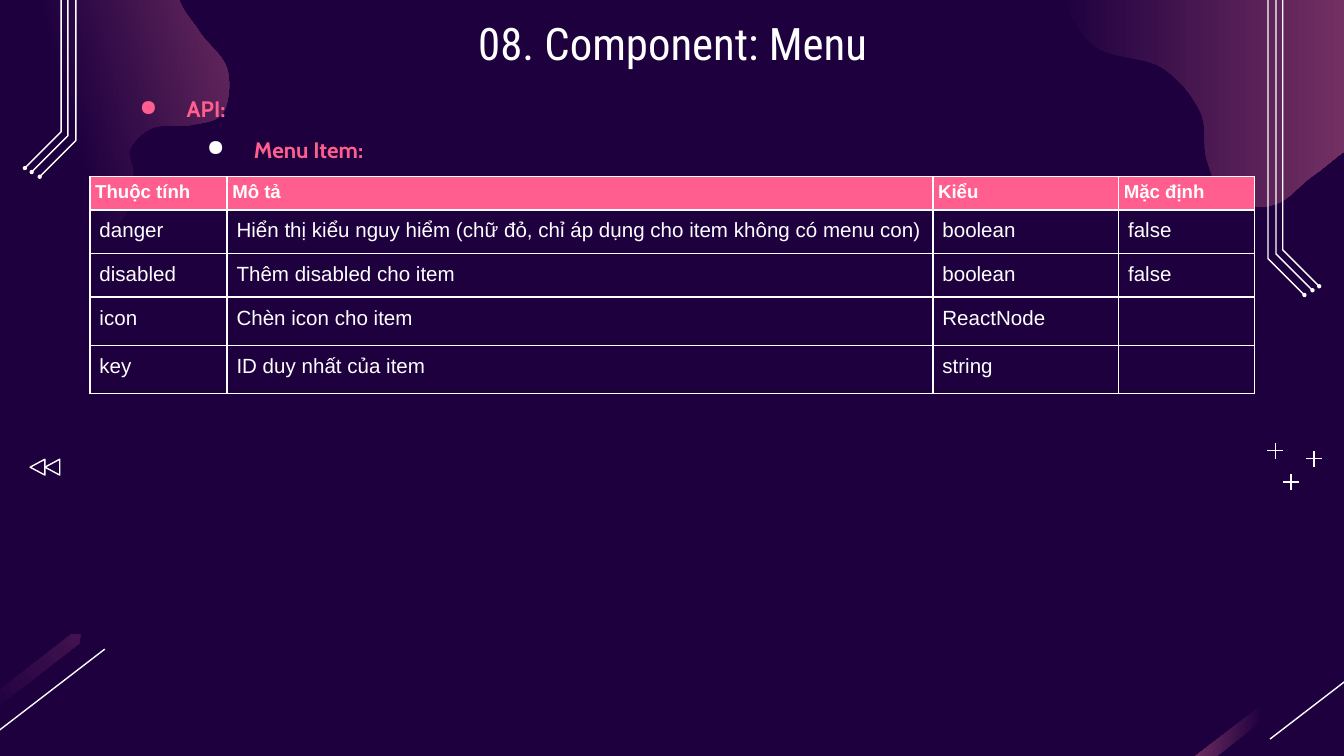
from dataclasses import dataclass

from lxml.etree import SubElement
from pptx import Presentation
from pptx.dml.color import RGBColor
from pptx.enum.shapes import MSO_CONNECTOR as Connector, MSO_SHAPE as Shape
from pptx.enum.text import MSO_ANCHOR as Anchor, PP_ALIGN as Align
from pptx.oxml.ns import qn
from pptx.util import Cm, Pt

COLORS = {"night": "1E003F", "plum": "A64D79", "glow": "41124F",
          "pink": "FF5E8E", "white": "FFFFFF"}
GRID = Cm(0.0254)  # drawing unit of the outlines
HAIRLINE = Pt(0.75)

Point = tuple[float, float]


@dataclass(frozen=True)
class Blob:
    """A smooth closed outline through a few anchors."""
    anchors: list[Point]
    angle: float
    dark_until: float


@dataclass(frozen=True)
class Bullet:
    text: str
    level: int
    marker: str


BLOBS = [
    Blob([(133, -7), (148, 23), (169, 51), (166, 84), (142, 93), (114, 95),
          (97, 111), (99, 131), (90, 165), (48, 190), (-13, 133), (-194, 22),
          (-91, -74), (54, -90), (167, -151), (258, -87), (159, -39)], 15, 0.5),
    Blob([(789, -38), (809, 30), (864, 50), (893, 83), (898, 119), (914, 150),
          (949, 152), (978, 130), (1018, 106), (1052, 138), (1117, 88),
          (1125, 38), (1105, -35), (1058, -77), (929, -113), (852, -143)], 0, 0),
]
STREAK = [(53, 472), (60, 472), (59, 479), (-81, 588), (-88, 587), (-87, 580)]
TRACK_BENDS = [(954.5, 186), (949.5, 189), (943.5, 192.5)]
TRACK_RUN = 27
PLUSES = [(24.4, 9.11), (24.83, 8.67), (24.1, 8.52)]
BULLETS = [Bullet("API:", 0, "pink"), Bullet("Menu Item:", 1, "white")]
COLUMNS = [2.59, 13.34, 3.51, 2.57]
ROWS = [0.6, 0.79, 0.79, 0.91, 0.91]
PROPERTIES = [
    ("Thuộc tính", "Mô tả", "Kiểu", "Mặc định"),
    ("danger", "Hiển thị kiểu nguy hiểm (chữ đỏ, chỉ áp dụng cho item không có menu con)",
     "boolean", "false"),
    ("disabled", "Thêm disabled cho item", "boolean", "false"),
    ("icon", "Chèn icon cho item", "ReactNode", ""),
    ("key", "ID duy nhất của item", "string", ""),
]


def rgb(name: str) -> RGBColor:
    return RGBColor.from_string(COLORS[name])


def smooth_outline(anchors: list[Point], steps: int = 10) -> list[Point]:
    """Closed Catmull-Rom curve through the anchors."""
    def blend(a: float, b: float, c: float, d: float, t: float) -> float:
        return b + t / 2 * (c - a + t * (2 * a - 5 * b + 4 * c - d + t * (3 * (b - c) + d - a)))

    points = []
    for index in range(len(anchors)):
        near = [anchors[(index + offset) % len(anchors)] for offset in (-1, 0, 1, 2)]
        xs, ys = zip(*near)
        points += [(blend(*xs, step / steps), blend(*ys, step / steps)) for step in range(steps)]
    return points


def add_outline(slide, points: list[Point], closed: bool):
    corners = [(round(x * GRID), round(y * GRID)) for x, y in points]
    builder = slide.shapes.build_freeform(*corners[0])
    builder.add_line_segments(corners[1:], close=closed)
    outline = builder.convert_to_shape()
    outline.shadow.inherit = False
    return outline


def add_glow(slide, points: list[Point], angle: float, dark_until: float, tip: str = "plum") -> None:
    glow = add_outline(slide, points, True)
    glow.line.fill.background()
    glow.fill.gradient()
    glow.fill.gradient_angle = angle
    dark, bright = glow.fill.gradient_stops
    dark.color.rgb, dark.position = rgb("night"), dark_until
    bright.color.rgb, bright.position = rgb(tip), 1


def draw_white(shape) -> None:
    shape.line.color.rgb = rgb("white")
    shape.line.width = HAIRLINE


def add_line(slide, x1: float, y1: float, x2: float, y2: float) -> None:
    line = slide.shapes.add_connector(Connector.STRAIGHT, Cm(x1), Cm(y1), Cm(x2), Cm(y2))
    draw_white(line)
    SubElement(line._element.spPr, qn("a:effectLst"))


def add_circuit(slide, mirrored: bool, rise: float) -> None:
    """Three parallel tracks that bend outwards and end in dots."""
    for x, bend in TRACK_BENDS:
        track = [(x, -119), (x, bend), (x + TRACK_RUN, bend + TRACK_RUN)]
        track = [(1000 - px if mirrored else px, py - rise) for px, py in track]
        path = add_outline(slide, track, False)
        path.fill.background()
        draw_white(path)
        end_x, end_y = track[-1]
        dot = slide.shapes.add_shape(Shape.OVAL, round((end_x - 1.5) * GRID),
                                     round((end_y - 1.5) * GRID), Cm(0.08), Cm(0.08))
        dot.shadow.inherit = False
        dot.fill.solid()
        dot.fill.fore_color.rgb = rgb("white")
        dot.line.fill.background()


def add_decoration(slide) -> None:
    for blob in BLOBS:
        add_glow(slide, smooth_outline(blob.anchors), blob.angle, blob.dark_until)
    for shift, angle, tip in ((0, 38, "glow"), (954, 173, "plum")):
        add_glow(slide, [(x + shift, y) for x, y in STREAK], angle, 0.5, tip)
        left = shift * Cm(0.0254).cm
        add_line(slide, 1.98 + left, 12.27, -0.23 + left, 13.97)
    add_circuit(slide, False, 0)
    add_circuit(slide, True, 88)
    for x, y in PLUSES:
        add_line(slide, x - 0.15, y, x + 0.15, y)
        add_line(slide, x, y - 0.15, x, y + 0.15)
    for left in (0.56, 0.84):
        arrow = slide.shapes.add_shape(Shape.ISOSCELES_TRIANGLE, Cm(left), Cm(8.69), Cm(0.3), Cm(0.28))
        arrow.rotation = 270
        arrow.shadow.inherit = False
        arrow.fill.background()
        draw_white(arrow)


def style_runs(paragraph, font: str, size: float, color: str, bold: bool = False) -> None:
    for run in paragraph.runs:
        run.font.name, run.font.size, run.font.bold = font, Pt(size), bold
        run.font.color.rgb = rgb(color)


def add_text_frame(slide, left: float, top: float, width: float, height: float):
    frame = slide.shapes.add_textbox(Cm(left), Cm(top), Cm(width), Cm(height)).text_frame
    frame.word_wrap = True
    frame.margin_left = frame.margin_right = frame.margin_top = frame.margin_bottom = Cm(0.25)
    return frame


def add_headings(slide) -> None:
    body = add_text_frame(slide, 2.01, 1.3, 20.62, 1.85)
    for index, bullet in enumerate(BULLETS):
        paragraph = body.add_paragraph() if index else body.paragraphs[0]
        paragraph.text = bullet.text
        properties = paragraph._p.get_or_add_pPr()
        properties.set("marL", str(Cm(1.27 * (bullet.level + 1))))
        properties.set("indent", str(Cm(-0.89)))
        marker_color = SubElement(properties, qn("a:buClr"))
        SubElement(marker_color, qn("a:srgbClr"), val=COLORS[bullet.marker])
        SubElement(properties, qn("a:buChar"), char="●")
        paragraph.level, paragraph.line_spacing = bullet.level, 1.5
        style_runs(paragraph, "Cabin", 12, "pink", True)
    title = add_text_frame(slide, 2.01, 0, 21.41, 1.6)
    title.vertical_anchor = Anchor.MIDDLE
    title.text = "08. Component: Menu"
    title.paragraphs[0].alignment = Align.CENTER
    style_runs(title.paragraphs[0], "Roboto Condensed", 24, "white")


def add_borders(cell) -> None:
    properties = cell._tc.get_or_add_tcPr()
    for side in ("lnL", "lnR", "lnT", "lnB"):
        border = SubElement(properties, qn(f"a:{side}"), w=str(Pt(1)))
        fill = SubElement(border, qn("a:solidFill"))
        SubElement(fill, qn("a:srgbClr"), val=COLORS["white"])


def add_property_table(slide) -> None:
    table = slide.shapes.add_table(len(ROWS), len(COLUMNS), Cm(1.7), Cm(3.34),
                                   Cm(sum(COLUMNS)), Cm(sum(ROWS))).table
    table.first_row = table.horz_banding = False
    for column, width in zip(table.columns, COLUMNS):
        column.width = Cm(width)
    for index, (row, height, values) in enumerate(zip(table.rows, ROWS, PROPERTIES)):
        row.height = Cm(height)
        is_header = index == 0
        for cell, value in zip(row.cells, values):
            margin = Cm(0.1 if is_header else 0.18)
            cell.margin_left = cell.margin_right = cell.margin_top = cell.margin_bottom = margin
            add_borders(cell)
            if is_header:
                cell.fill.solid()
                cell.fill.fore_color.rgb = rgb("pink")
            else:
                cell.fill.background()
            paragraph = cell.text_frame.paragraphs[0]
            if value:
                paragraph.text = value
                style_runs(paragraph, "Arial", 10 if is_header else 11, "white", is_header)
            else:
                paragraph._p.get_or_add_endParaRPr().set("sz", "1100")


def main() -> None:
    deck = Presentation()
    deck.slide_width, deck.slide_height = Cm(25.4), Cm(14.29)
    slide = deck.slides.add_slide(deck.slide_layouts[6])
    slide.background.fill.solid()
    slide.background.fill.fore_color.rgb = rgb("night")
    add_decoration(slide)
    add_headings(slide)
    add_property_table(slide)
    deck.save("out.pptx")


if __name__ == "__main__":
    main()
